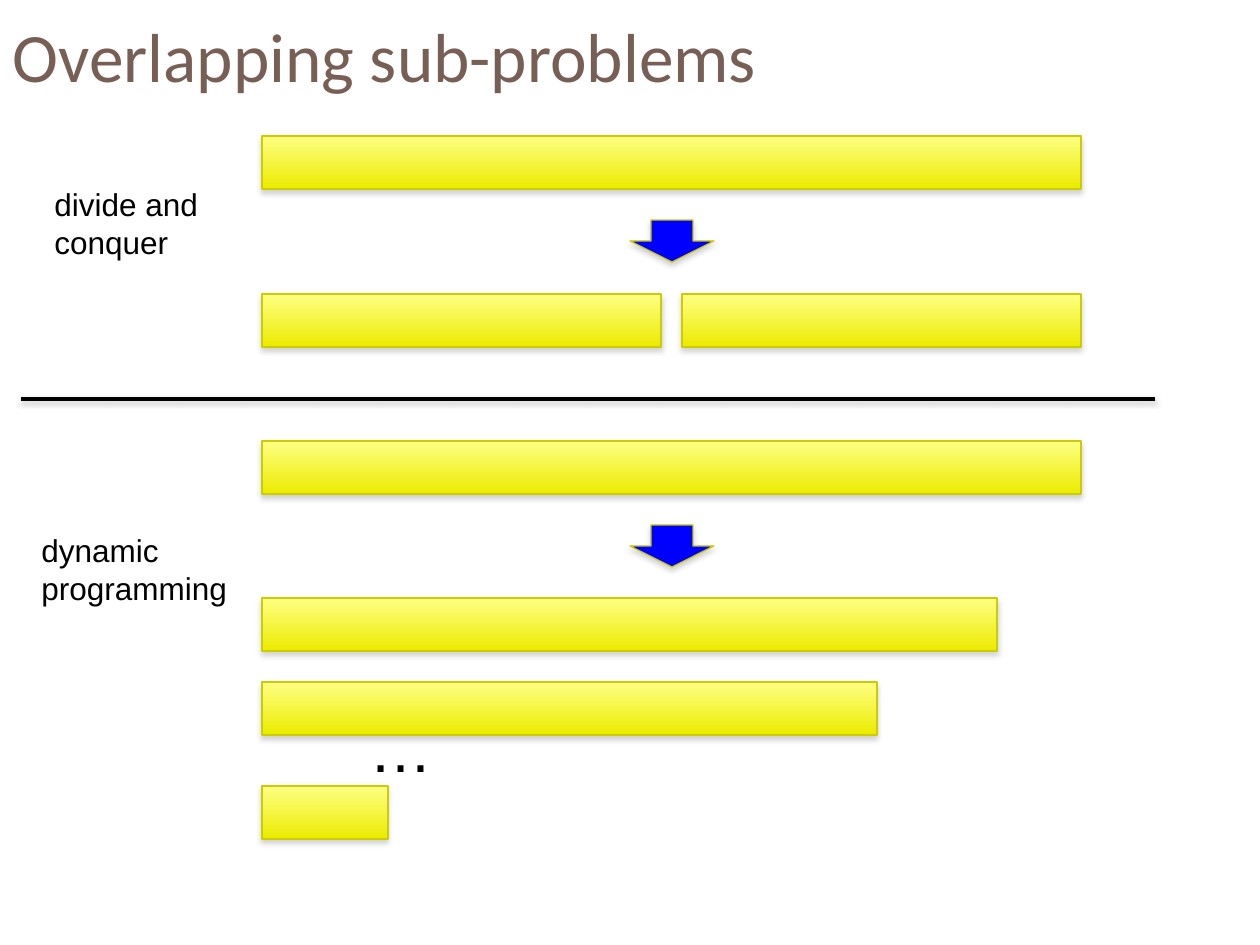
from pptx import Presentation
from pptx.dml.color import RGBColor
from pptx.enum.shapes import MSO_CONNECTOR, MSO_SHAPE
from pptx.enum.text import MSO_ANCHOR, MSO_AUTO_SIZE, PP_ALIGN
from pptx.oxml import parse_xml
from pptx.util import Emu, Pt

TITLE = "Overlapping sub-problems"
BAR_LEFT, BAR_HEIGHT = 262, 53
BARS = [
    (262, 136, 819),
    (262, 294, 399),
    (682, 294, 399),
    (262, 441, 819),
    (262, 598, 735),
    (262, 682, 615),
    (262, 786, 126),
]
ARROW_TOPS = [220, 525]
LABELS = [
    ("…", 357, 703, 89, 36),
    ("divide and\vconquer", 42, 179, 170, 18),
    ("dynamic\nprogramming", 29, 525, 213, 18),
]
DIVIDER = (21, 399, 1155, 399)
DRAWING = "http://schemas.openxmlformats.org/drawingml/2006/main"


def px(value):
    return Emu(round(value * 914400 / 126))


def color(value):
    return RGBColor.from_string(value)


def box(left, top, width, height):
    return [px(value) for value in (left, top, width, height)]


def style_line(shape, line_color, width):
    shape.line.color.rgb = color(line_color)
    shape.line.width = Pt(width)


def add_shadow(shape, opacity=35, distance=1.8):
    shape._element.spPr.append(parse_xml(
        f'<a:effectLst xmlns:a="{DRAWING}">'
        f'<a:outerShdw blurRad="{Pt(3.1)}" dist="{Pt(distance)}" dir="5400000" rotWithShape="0">'
        f'<a:srgbClr val="808080"><a:alpha val="{opacity * 1000}"/></a:srgbClr>'
        '</a:outerShdw></a:effectLst>'))


def format_text(text_frame, font_name, size, font_color):
    for paragraph in text_frame.paragraphs:
        paragraph.alignment = PP_ALIGN.LEFT
        for run in paragraph.runs:
            run.font.name = font_name
            run.font.size = Pt(size)
            run.font.color.rgb = color(font_color)


def add_title(slide):
    title = slide.shapes.title
    title.left, title.top, title.width, title.height = box(0, 16, 1040, 78)
    title.text_frame.text = TITLE
    title.text_frame.vertical_anchor = MSO_ANCHOR.MIDDLE
    title.text_frame.auto_size = MSO_AUTO_SIZE.NONE
    format_text(title.text_frame, "Calibri", 39.6, "775F55")


def add_bar(slide, left, top, width):
    bar = slide.shapes.add_shape(MSO_SHAPE.RECTANGLE, *box(left, top, width, BAR_HEIGHT))
    bar.fill.gradient()
    bar.fill.gradient_angle = 270
    for stop, stop_color in zip(bar.fill.gradient_stops, ("FFFF85", "EBEB00")):
        stop.color.rgb = color(stop_color)
    style_line(bar, "CCCC00", 0.75)
    add_shadow(bar)


def add_arrow(slide, top):
    arrow = slide.shapes.add_shape(MSO_SHAPE.DOWN_ARROW, *box(630, top, 84, 42))
    arrow.fill.solid()
    arrow.fill.fore_color.rgb = color("0000FF")
    style_line(arrow, "CCCC00", 0.75)
    add_shadow(arrow)


def add_label(slide, text, left, top, width, size):
    label = slide.shapes.add_textbox(*box(left, top, width, 89))
    label.text_frame.word_wrap = False
    label.text_frame.auto_size = MSO_AUTO_SIZE.SHAPE_TO_FIT_TEXT
    label.text_frame.text = text
    format_text(label.text_frame, "Arial", size, "000000")


def main():
    presentation = Presentation()
    presentation.slide_width, presentation.slide_height = px(1260), px(945)
    slide = presentation.slides.add_slide(presentation.slide_layouts[5])
    add_title(slide)
    for bar in BARS:
        add_bar(slide, *bar)
    for top in ARROW_TOPS:
        add_arrow(slide, top)
    divider = slide.shapes.add_connector(MSO_CONNECTOR.STRAIGHT, *box(*DIVIDER))
    style_line(divider, "000000", 2)
    add_shadow(divider, opacity=38, distance=1.6)
    for label in LABELS:
        add_label(slide, *label)
    presentation.save("out.pptx")


if __name__ == "__main__":
    main()
